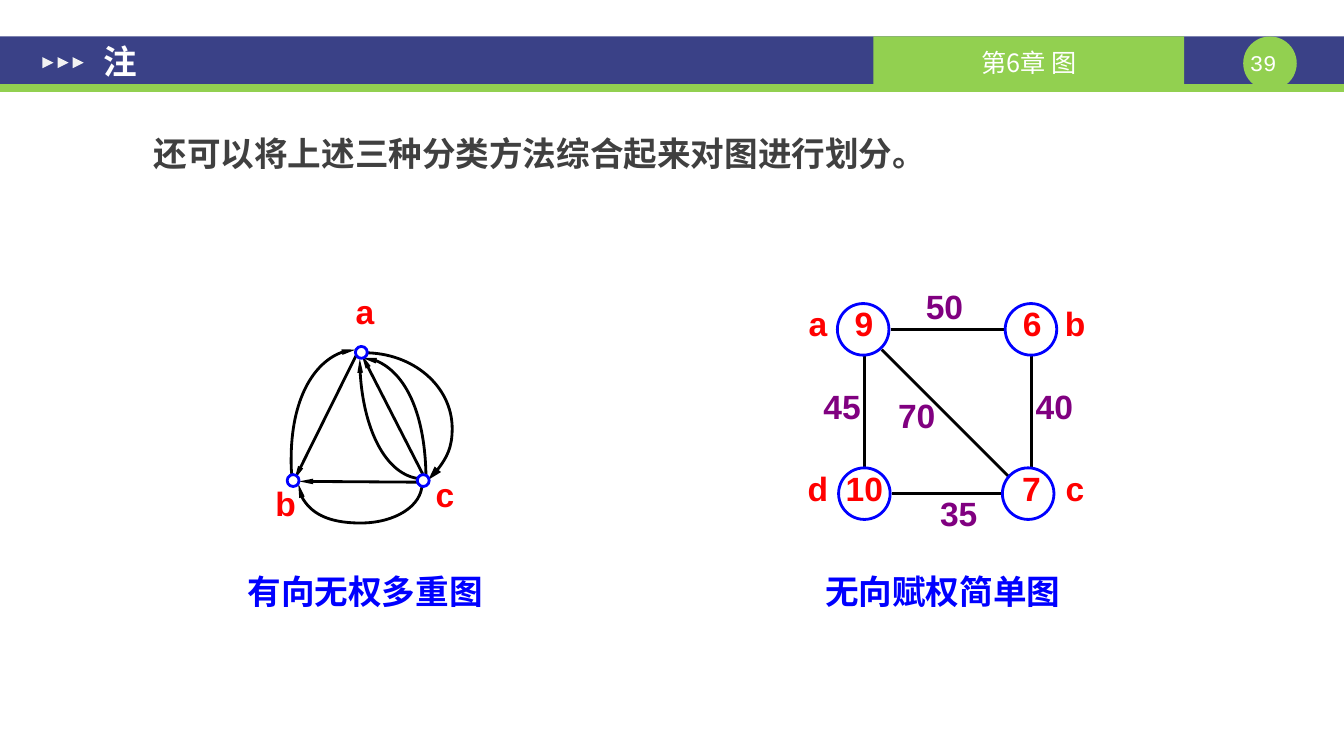
from dataclasses import dataclass

from pptx import Presentation
from pptx.dml.color import RGBColor
from pptx.enum.shapes import MSO_CONNECTOR, MSO_SHAPE
from pptx.enum.text import MSO_ANCHOR, MSO_AUTO_SIZE, PP_ALIGN
from pptx.oxml.ns import qn
from pptx.util import Cm, Pt
from lxml.etree import SubElement

COLORS = {
    "navy": "3A4187", "green": "92D050", "white": "FFFFFF", "pale": "F2F2F2",
    "gray": "404040", "blue": "0000FF", "red": "FF0000", "purple": "800080",
    "black": "000000",
}
CJK_FONT = "Noto Sans CJK SC"
Point = tuple[float, float]


@dataclass
class Node:
    x: float
    y: float
    size: float
    fill: str | None = None


@dataclass
class Edge:
    start: Point
    end: Point
    head: str | None = None


@dataclass
class Curve:
    """Chain of cubic Bezier pieces: a start point, then three points a piece."""
    points: list[Point]
    head: str = "sm"


@dataclass
class Label:
    text: str
    x: float
    y: float
    width: float = 1.09
    color: str = "red"


@dataclass
class Graph:
    edges: list[Edge]
    curves: list[Curve]
    nodes: list[Node]
    labels: list[Label]


WEIGHTED = Graph(
    edges=[
        Edge((22.45, 8.31), (25.35, 8.31)),
        Edge((26.01, 8.97), (26.01, 11.79)),
        Edge((22.48, 12.44), (25.27, 12.44)),
        Edge((21.79, 8.97), (21.79, 11.79)),
        Edge((22.23, 8.81), (25.43, 12.01)),
    ],
    curves=[],
    nodes=[Node(x, y, 1.3) for x, y in
           ((21.76, 8.3), (25.99, 8.3), (25.92, 12.44), (21.79, 12.44))],
    labels=[
        Label("9", 21.78, 8.15), Label("6", 26.02, 8.15),
        Label("7", 26, 12.29), Label("10", 21.79, 12.29, 1.68),
        Label("a", 20.62, 8.15), Label("b", 27.1, 8.15),
        Label("c", 27.1, 12.29), Label("d", 20.62, 12.29),
        Label("50", 23.81, 7.71, 1.5, "purple"),
        Label("40", 26.58, 10.24, 1.5, "purple"),
        Label("70", 23.11, 10.46, 1.78, "purple"),
        Label("35", 24.17, 12.93, 1.7, "purple"),
        Label("45", 21.23, 10.24, 1.57, "purple"),
    ],
)
DIRECTED = Graph(
    edges=[
        Edge((10.54, 12.15), (7.54, 12.13), "sm"),
        Edge((10.72, 12.07), (9.12, 8.94), "sm"),
        Edge((8.97, 8.97), (7.42, 12.09), "sm"),
    ],
    curves=[
        Curve([(10.64, 12.19), (10.64, 12.75), (9.96, 13.18), (9.09, 13.18),
               (8.23, 13.18), (7.52, 12.75), (7.52, 12.19)]),
        Curve([(10.74, 12.12), (10.74, 10.39), (10.03, 9.02), (9.14, 9.02)]),
        Curve([(7.37, 12.04), (7.34, 11.89), (7.34, 11.73), (7.34, 11.58),
               (7.34, 10.06), (8.08, 8.81), (8.97, 8.81)]),
        Curve([(10.69, 12.07), (9.78, 12.07), (9.07, 10.72), (9.07, 9.04)]),
        Curve([(9.19, 8.89), (10.41, 8.89), (11.4, 9.73), (11.4, 10.8),
               (11.4, 11.28), (11.18, 11.73), (10.8, 12.09)], "med"),
    ],
    nodes=[Node(x, y, 0.3, "white") for x, y in
           ((9.11, 8.88), (7.39, 12.11), (10.67, 12.11))],
    labels=[Label("a", 9.2, 7.84, 0.89), Label("b", 7.2, 12.69, 0.89),
            Label("c", 11.22, 12.45, 0.89)],
)


def rgb(name: str) -> RGBColor:
    return RGBColor.from_string(COLORS[name])


def place(sp, x: float, y: float, w: float, h: float) -> None:
    sp.left, sp.top, sp.width, sp.height = Cm(x), Cm(y), Cm(w), Cm(h)


def set_text(sp, text: str, color: str, size: int = 24, bold: bool = True,
             font: str = "Arial", align=PP_ALIGN.CENTER, anchor=MSO_ANCHOR.TOP,
             margins: tuple[float, float, float] = (0, 0, 0)):
    """Fill a shape with one paragraph; margins are (sides, top, bottom) in cm."""
    tf = sp.text_frame
    tf.text = text
    tf.word_wrap = True
    tf.auto_size = MSO_AUTO_SIZE.NONE
    tf.vertical_anchor = anchor
    tf.margin_left = tf.margin_right = Cm(margins[0])
    tf.margin_top, tf.margin_bottom = Cm(margins[1]), Cm(margins[2])
    p = tf.paragraphs[0]
    p.alignment = align
    p.space_before = Pt(0)
    for r in p.runs:
        r.font.name, r.font.size, r.font.bold = font, Pt(size), bold
        r.font.color.rgb = rgb(color)
        SubElement(r.font._element, qn("a:ea"), typeface=CJK_FONT)
    return p


def add_box(shapes, kind, x: float, y: float, w: float, h: float,
            fill: str | None, line: str | None = None):
    sp = shapes.add_shape(kind, Cm(x), Cm(y), Cm(w), Cm(h))
    sp.shadow.inherit = False
    if fill:
        sp.fill.solid()
        sp.fill.fore_color.rgb = rgb(fill)
    else:
        sp.fill.background()
    if line:
        sp.line.color.rgb, sp.line.width = rgb(line), Pt(2)
    else:
        sp.line.fill.background()
    return sp


def add_textbox(shapes, x: float, y: float, w: float, h: float):
    return shapes.add_textbox(Cm(x), Cm(y), Cm(w), Cm(h))


def style_edge(sp, head: str | None) -> None:
    sp.line.color.rgb, sp.line.width = rgb("black"), Pt(2)
    if head:
        SubElement(sp.line._get_or_add_ln(), qn("a:tailEnd"),
                   type="triangle", w=head, len="lg")


def add_edge(shapes, edge: Edge) -> None:
    ends = [Cm(v) for v in (*edge.start, *edge.end)]
    line = shapes.add_connector(MSO_CONNECTOR.STRAIGHT, *ends)
    style_edge(line, edge.head)
    SubElement(line.element.spPr, qn("a:effectLst"))


def add_curve(shapes, curve: Curve) -> None:
    """Lay out the control points as segments, then join each three into a Bezier."""
    start, *rest = [(Cm(x), Cm(y)) for x, y in curve.points]
    builder = shapes.build_freeform(*start)
    builder.add_line_segments(rest, close=False)
    sp = builder.convert_to_shape()
    outline = next(sp.element.iter(qn("a:path")))
    segments = outline.findall(qn("a:lnTo"))
    for i in range(0, len(segments), 3):
        piece = SubElement(outline, qn("a:cubicBezTo"))
        for segment in segments[i:i + 3]:
            piece.append(segment[0])
            outline.remove(segment)
    sp.shadow.inherit = False
    sp.fill.background()
    style_edge(sp, curve.head)


def add_graph(shapes, graph: Graph) -> None:
    group = shapes.add_group_shape().shapes
    for edge in graph.edges:
        add_edge(group, edge)
    for curve in graph.curves:
        add_curve(group, curve)
    for n in graph.nodes:
        add_box(group, MSO_SHAPE.OVAL, n.x - n.size / 2, n.y - n.size / 2,
                n.size, n.size, n.fill, "blue")
    for label in graph.labels:
        box = add_textbox(group, label.x - label.width / 2, label.y - 0.51,
                          label.width, 1.02)
        set_text(box, label.text, label.color)


def add_header(shapes) -> None:
    add_box(shapes, MSO_SHAPE.RECTANGLE, 0, 0.92, 33.88, 1.2, "navy")
    add_box(shapes, MSO_SHAPE.RECTANGLE, 0, 2.12, 33.88, 0.2, "green")
    add_box(shapes, MSO_SHAPE.OVAL, 31.34, 0.92, 1.35, 1.35, "green")
    set_text(add_textbox(shapes, 31.17, 1.23, 1.35, 0.69), "39", "white", 16,
             False, "Courier New")
    chapter = add_box(shapes, MSO_SHAPE.RECTANGLE, 22.02, 0.92, 7.83, 1.2, "green")
    set_text(chapter, "第6章 图", "white", 18, False, CJK_FONT,
             anchor=MSO_ANCHOR.MIDDLE, margins=(0.25, 0.1, 0))
    for i in range(3):
        mark = add_box(shapes, MSO_SHAPE.ISOSCELES_TRIANGLE,
                       1.07 + 0.38 * i, 1.44, 0.28, 0.28, "pale")
        mark.rotation = 90


def main() -> None:
    prs = Presentation()
    prs.slide_width, prs.slide_height = Cm(33.88), Cm(19.05)
    slide = prs.slides.add_slide(prs.slide_layouts[1])
    shapes = slide.shapes
    title, body = shapes.title, slide.placeholders[1]
    add_header(shapes)

    place(title, 2.28, 0.44, 29.74, 2.18)
    set_text(title, "注", "white", align=PP_ALIGN.LEFT,
             anchor=MSO_ANCHOR.MIDDLE, margins=(0.33, 0.18, 0.18))
    shapes.element.append(title.element)  # bring in front of the header bar

    place(body, 2.27, 3.18, 29.74, 1.6)
    p = set_text(body, "还可以将上述三种分类方法综合起来对图进行划分。", "gray",
                 align=PP_ALIGN.LEFT, margins=(0.33, 0.18, 0.18))
    pPr = p._p.get_or_add_pPr()
    pPr.set("marL", str(Cm(1.27)))
    pPr.set("indent", "0")
    SubElement(pPr, qn("a:buNone"))

    for text, x in (("有向无权多重图", 4.14), ("无向赋权简单图", 18.7)):
        caption = add_textbox(shapes, x, 14.05, 10.13, 1.5)
        set_text(caption, text, "blue", margins=(0.25, 0.13, 0.13)).line_spacing = 1.2

    add_graph(shapes, WEIGHTED)
    add_graph(shapes, DIRECTED)
    prs.save("out.pptx")


if __name__ == "__main__":
    main()
